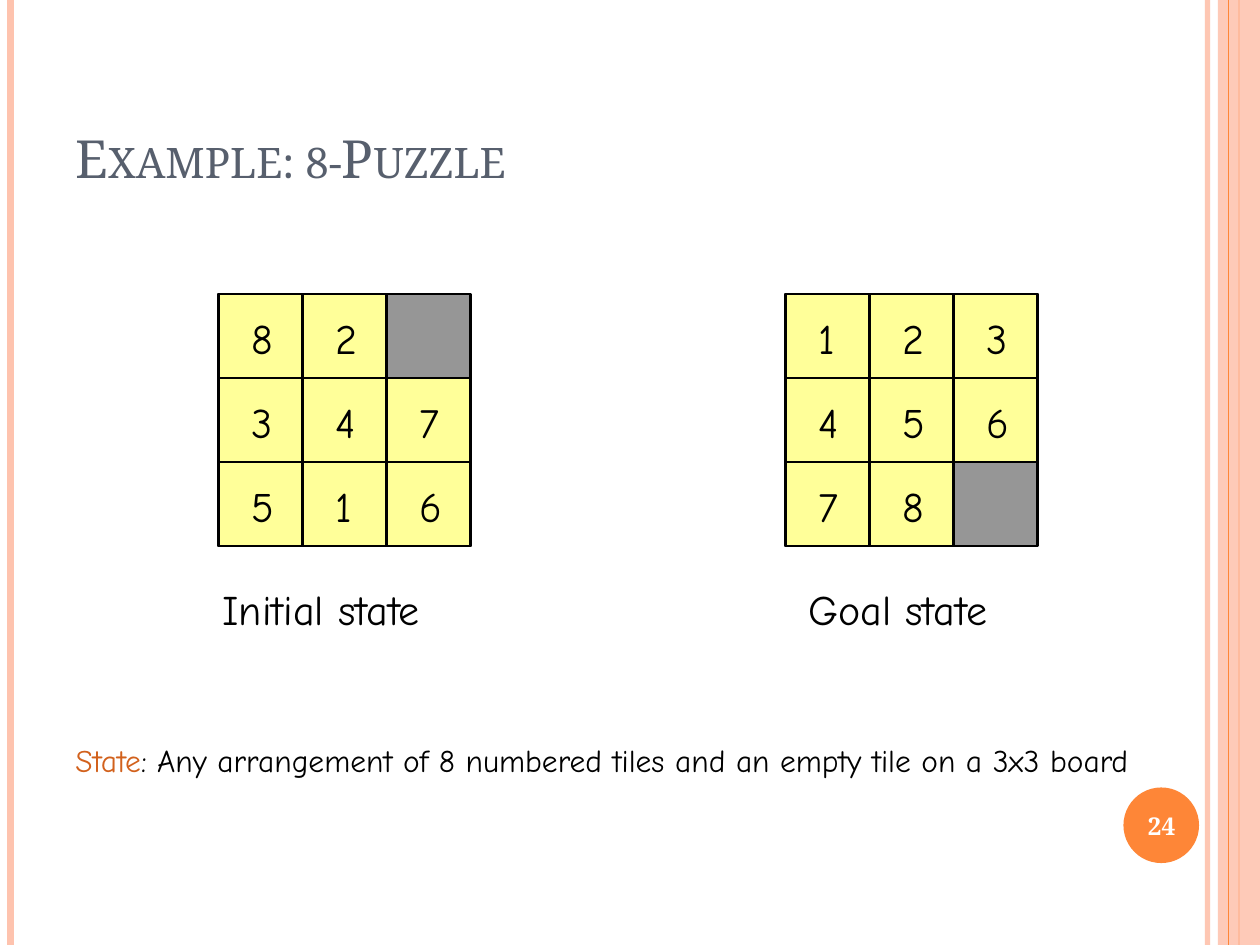
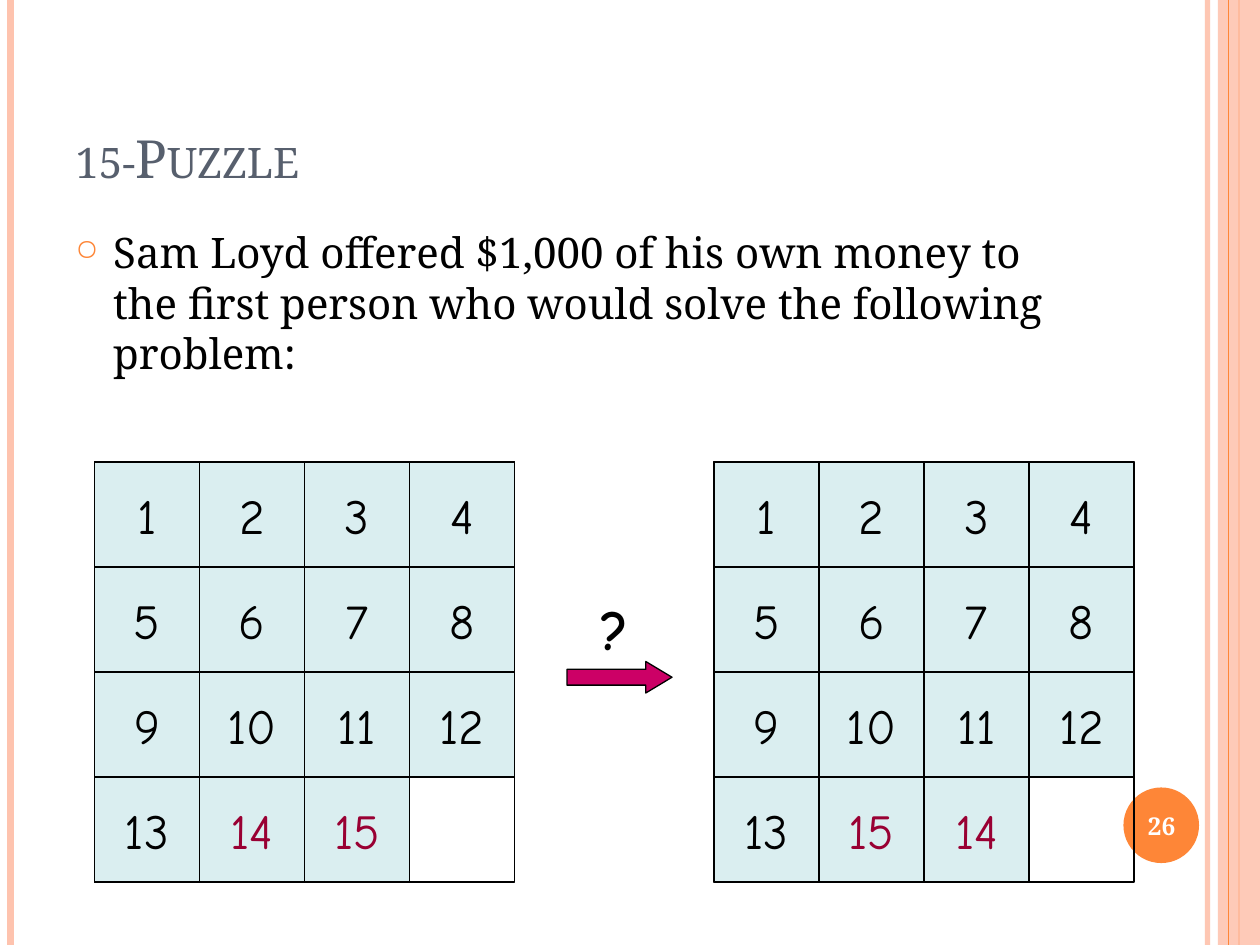
from lxml.etree import SubElement
from pptx import Presentation
from pptx.dml.color import RGBColor
from pptx.enum.shapes import MSO_CONNECTOR, MSO_SHAPE
from pptx.enum.text import MSO_ANCHOR, MSO_AUTO_SIZE, PP_ALIGN
from pptx.oxml.ns import qn
from pptx.util import Inches, Pt

# Grid: 120 columns by 90 rows, twelve to the inch
COLS, ROWS = 120, 90
SERIF, HAND = "Noto Serif", "Comic Neue"
BLACK, WHITE = "000000", "FFFFFF"
PEACH, FLAME, SLATE, RUST = "FEC3AE", "FE8637", "575F6D", "D2611C"
SAND, GREY, MINT, WINE, ROSE = "FFFF99", "969696", "DAEEF0", "990033", "CC0066"


def grid(*units):
    return [Inches(unit / 12) for unit in units]


def hue(code):
    return RGBColor.from_string(code)


def fade(shape, share):
    """Make the colours of a shape partly see-through."""
    for node in shape._element.spPr.iter(qn("a:srgbClr")):
        SubElement(node, qn("a:alpha"), val=str(share * 1000))


def write(shape, text, size=24, font=HAND, color=BLACK, bold=False,
          caps=False, align=None, anchor=MSO_ANCHOR.TOP, wrap=False):
    """Fill a shape with one paragraph; text is a string or (text, colour) pairs."""
    frame = shape.text_frame
    frame.word_wrap = wrap
    frame.vertical_anchor = anchor
    para = frame.paragraphs[0]
    para.alignment = align
    for words, shade in [(text, color)] if isinstance(text, str) else text:
        run = para.add_run()
        run.text = words
        run.font.size, run.font.name, run.font.bold = Pt(size), font, bold
        run.font.color.rgb = hue(shade)
        if caps:
            run.font._element.set("cap", "small")
    return para


def label(home, place, text, **form):
    box = home.add_textbox(*grid(*place))
    para = write(box, text, **form)
    if not form.get("wrap"):
        box.text_frame.auto_size = MSO_AUTO_SIZE.SHAPE_TO_FIT_TEXT
    return para


def block(home, place, fill=None, edge=0.75, kind=MSO_SHAPE.RECTANGLE):
    shape = home.add_shape(kind, *grid(*place))
    shape.shadow.inherit = False
    if fill:
        shape.fill.solid()
        shape.fill.fore_color.rgb = hue(fill)
    else:
        shape.fill.background()
    if edge:
        shape.line.color.rgb = hue(BLACK)
        shape.line.width = Pt(edge)
    else:
        shape.line.fill.background()
    return shape


def stripe(home, col, color, width):
    line = home.add_connector(MSO_CONNECTOR.STRAIGHT, *grid(col, 0, col, ROWS))
    line.line.color.rgb = hue(color)
    line.line.width = Pt(width)
    SubElement(line._element.spPr, qn("a:effectLst"))
    return line


def bullet(para, sign, color, share):
    para.space_before = Pt(6)
    props = para._p.get_or_add_pPr()
    props.set("marL", str(Inches(0.3)))
    props.set("indent", str(-Inches(0.3)))
    tint = SubElement(props, qn("a:buClr"))
    SubElement(tint, qn("a:srgbClr"), val=color)
    SubElement(props, qn("a:buSzPct"), val=str(share * 1000))
    SubElement(props, qn("a:buChar"), char=sign)


def page(deck, title, number):
    """Start a slide with the shared bands, title and number disc."""
    home = deck.slides.add_slide(deck.slide_layouts[6]).shapes
    fade(stripe(home, 115, PEACH, 3), 93)
    stripe(home, 1, PEACH, 4.5)
    stripe(home, 118, FLAME, 1.5)
    fade(block(home, (116, 0, 4, ROWS), PEACH, edge=0), 87)
    stripe(home, 117, FLAME, 0.75)
    block(home, (107, 75, 7.2, 7.2), FLAME, edge=0, kind=MSO_SHAPE.OVAL)
    label(home, (6, 3.6, 98, 15), title, size=30, font=SERIF, color=SLATE,
          caps=True, anchor=MSO_ANCHOR.BOTTOM, wrap=True)
    label(home, (106.64, 75.2, 8, 6.8), str(number), size=14, font=SERIF,
          color=WHITE, bold=True, align=PP_ALIGN.CENTER,
          anchor=MSO_ANCHOR.MIDDLE, wrap=True)
    return home


def cells(left, top, step, rows):
    """Yield value and corner of every numbered tile; 0 is the gap."""
    for down, row in enumerate(rows):
        for over, value in enumerate(row):
            if value:
                yield value, left + over * step, top + down * step


def eight(home, left, rows):
    top, step = 28, 8
    block(home, (left, top, 3 * step, 3 * step), GREY, edge=1.5)
    tiles = list(cells(left, top, step, rows))
    for value, col, row in tiles:
        block(home, (col, row, step, step), SAND, edge=1.5)
    for value, col, row in tiles:
        wide = 4.2 if value == 1 else 4.8
        label(home, (col + 2, row + 1.2, wide, 6), str(value))


def fifteen(home, left, rows):
    top, step = 44, 10
    block(home, (left, top, 4 * step, 4 * step))
    for value, col, row in cells(left, top, step, rows):
        tile = block(home, (col, row, step, step), MINT)
        write(tile, str(value), size=28, color=WINE if value > 13 else BLACK,
              align=PP_ALIGN.CENTER, anchor=MSO_ANCHOR.MIDDLE)


def first(deck):
    home = page(deck, "Example: 8-Puzzle", 24)
    eight(home, 20.8, [(8, 2, 0), (3, 4, 7), (5, 1, 6)])
    eight(home, 74.8, [(1, 2, 3), (4, 5, 6), (7, 8, 0)])
    label(home, (20, 55, 25.1, 6), "Initial state")
    label(home, (75.8, 55, 21.5, 6), "Goal state")
    label(home, (6, 70, 111.2, 4.8), [
        ("State", RUST),
        (": Any arrangement of 8 numbered tiles and an empty tile on a 3x3 board",
         BLACK)], size=18)


def second(deck):
    home = page(deck, "15-Puzzle", 26)
    para = label(home, (6, 21, 98, 64),
                 "Sam Loyd offered $1,000 of his own money to the first person "
                 "who would solve the following problem:", font=SERIF, wrap=True)
    bullet(para, "\u25cb", FLAME, 70)

    # Both boards differ only in their last row
    start = [range(1, 5), range(5, 9), range(9, 13)]
    fifteen(home.add_group_shape().shapes, 68, start + [(13, 15, 14, 0)])
    group = home.add_group_shape().shapes
    fifteen(group, 9, start + [(13, 14, 15, 0)])

    # Arrow with its question mark
    arrow = block(group, (54, 63, 10, 3), ROSE, kind=MSO_SHAPE.RIGHT_ARROW)
    arrow.adjustments[0], arrow.adjustments[1] = 0.5, 0.83
    label(group, (56, 56, 5.4, 7.6), "?", size=32, bold=True)


def main():
    deck = Presentation()
    deck.slide_width, deck.slide_height = grid(COLS, ROWS)
    first(deck)
    second(deck)
    deck.save("out.pptx")


main()
